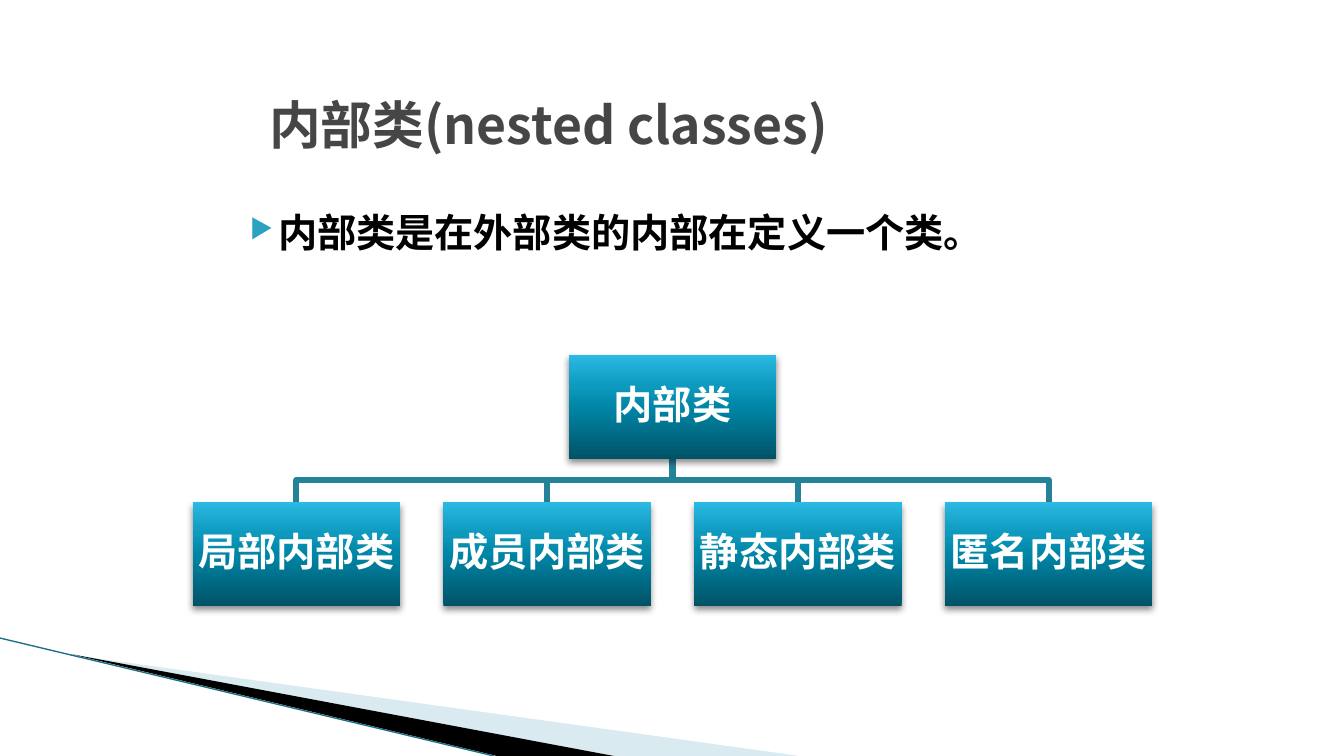
from lxml import etree
from pptx import Presentation
from pptx.dml.color import RGBColor
from pptx.enum.lang import MSO_LANGUAGE_ID
from pptx.enum.shapes import MSO_CONNECTOR, MSO_SHAPE
from pptx.enum.text import MSO_ANCHOR, PP_ALIGN
from pptx.oxml import parse_xml
from pptx.oxml.ns import qn
from pptx.util import Inches, Pt

STRAIGHT = MSO_CONNECTOR.STRAIGHT
RECTANGLE = MSO_SHAPE.RECTANGLE
MIDDLE = MSO_ANCHOR.MIDDLE
CENTER = PP_ALIGN.CENTER
CHINESE = MSO_LANGUAGE_ID.SIMPLIFIED_CHINESE
NAMESPACE = 'xmlns:a="http://schemas.openxmlformats.org/drawingml/2006/main"'
COLORS = {
    "title": "464646", "text": "000000", "white": "FFFFFF", "bullet": "2DA2BF",
    "pale": "A0CBDC", "black": "000000", "edge": "1A6F82", "branch": "248299",
}
BOX_GRADIENT = [(0, "005367"), (50, "0086A7"), (70, "0E9ABE"), (100, "2CB9E3")]
BOX_WIDTH, BOX_HEIGHT = 2.06, 1.03
ROOT_TOP, CHILD_TOP = 3.52, 4.98
CHILD_LEFT, CHILD_STEP = 1.91, 2.487
CHILDREN = ["局部内部类", "成员内部类", "静态内部类", "匿名内部类"]


def add_text(paragraph, text, size, font, color):
    run = paragraph.add_run()
    run.text = text
    run.font.size = Pt(size)
    run.font.bold = True
    run.font.name = font
    run.font.language_id = CHINESE
    run.font.color.rgb = RGBColor.from_string(COLORS[color])
    east_asian = etree.SubElement(run.font._element, qn("a:ea"))
    east_asian.set("typeface", font)


def add_outline(points, close):
    corners = [(Inches(x), Inches(y)) for x, y in points]
    builder = slide.shapes.build_freeform(*corners[0])
    builder.add_line_segments(corners[1:], close=close)
    shape = builder.convert_to_shape()
    shape.shadow.inherit = False
    return shape


presentation = Presentation()
presentation.slide_width = Inches(13.33)
presentation.slide_height = Inches(7.5)
slide = presentation.slides.add_slide(presentation.slide_layouts[6])

wedges = [
    ("pale", [(0.73, 6.5), (7.93, 7.5), (6.08, 7.5)]),
    ("black", [(0.71, 6.49), (6.09, 7.5), (4.93, 7.5)]),
]
for color, points in wedges:
    wedge = add_outline(points, True)
    wedge.fill.solid()
    wedge.fill.fore_color.rgb = RGBColor.from_string(COLORS[color])
    wedge.line.fill.background()
    if color == "pale":
        fill_color = wedge._element.spPr.find(qn("a:solidFill"))[0]
        etree.SubElement(fill_color, qn("a:alpha")).set("val", "40000")

edge = slide.shapes.add_connector(STRAIGHT, 0, Inches(6.33), Inches(4.9), Inches(7.5))
edge.line.color.rgb = RGBColor.from_string(COLORS["edge"])
edge.line.width = Pt(0.95)
etree.SubElement(edge._element.spPr, qn("a:effectLst"))

title = slide.shapes.add_textbox(Inches(2.57), Inches(0.91), Inches(8.5), Inches(0.63))
title.text_frame.word_wrap = True
title.text_frame.vertical_anchor = MIDDLE
add_text(title.text_frame.paragraphs[0], "内部类(nested classes)", 36.9, "Noto Sans CJK SC", "title")

body = slide.shapes.add_textbox(Inches(2.26), Inches(2.02), Inches(8.9), Inches(4.65))
body.text_frame.word_wrap = True
paragraph = body.text_frame.paragraphs[0]
paragraph.space_before = Pt(4)
add_text(paragraph, "内部类是在外部类的内部在定义一个类。", 28, "Noto Sans Mono", "text")
properties = paragraph._p.get_or_add_pPr()
properties.set("marL", str(Inches(0.4)))
properties.set("indent", str(Inches(-0.28)))
bullet_color = etree.SubElement(properties, qn("a:buClr"))
etree.SubElement(bullet_color, qn("a:srgbClr")).set("val", COLORS["bullet"])
etree.SubElement(properties, qn("a:buSzPct")).set("val", "68000")
etree.SubElement(properties, qn("a:buChar")).set("char", "▶")

child_lefts = [CHILD_LEFT + CHILD_STEP * index for index in range(len(CHILDREN))]
root_left = (child_lefts[0] + child_lefts[-1]) / 2
root_center = root_left + BOX_WIDTH / 2
root_bottom = ROOT_TOP + BOX_HEIGHT
branch_y = (root_bottom + CHILD_TOP) / 2

for left in child_lefts:
    center = left + BOX_WIDTH / 2
    branch = add_outline(
        [(root_center, root_bottom), (root_center, branch_y), (center, branch_y), (center, CHILD_TOP)],
        False,
    )
    branch.fill.background()
    branch.line.color.rgb = RGBColor.from_string(COLORS["branch"])
    branch.line.width = Pt(4.33)

boxes = [("内部类", root_left, ROOT_TOP)]
boxes += [(name, left, CHILD_TOP) for name, left in zip(CHILDREN, child_lefts)]
stops = "".join(
    f'<a:gs pos="{position * 1000}"><a:srgbClr val="{color}"/></a:gs>'
    for position, color in BOX_GRADIENT
)
for name, left, top in boxes:
    box = slide.shapes.add_shape(
        RECTANGLE, Inches(left), Inches(top), Inches(BOX_WIDTH), Inches(BOX_HEIGHT)
    )
    box.shadow.inherit = False
    box.line.fill.background()
    shape_properties = box._element.spPr
    shape_properties.find(qn("a:prstGeom")).addnext(parse_xml(
        f'<a:gradFill {NAMESPACE} rotWithShape="1"><a:gsLst>{stops}</a:gsLst>'
        '<a:lin ang="16200000" scaled="0"/></a:gradFill>'
    ))
    shape_properties.find(qn("a:effectLst")).append(parse_xml(
        f'<a:outerShdw {NAMESPACE} blurRad="{Pt(5)}" dist="{Pt(3)}" dir="5400000" rotWithShape="0">'
        '<a:srgbClr val="000000"><a:alpha val="45000"/></a:srgbClr></a:outerShdw>'
    ))
    frame = box.text_frame
    frame.word_wrap = True
    frame.vertical_anchor = MIDDLE
    frame.margin_left = frame.margin_right = Inches(0.02)
    frame.margin_top = frame.margin_bottom = Inches(0.02)
    paragraph = frame.paragraphs[0]
    paragraph.alignment = CENTER
    paragraph.line_spacing = 0.9
    add_text(paragraph, name, 28, "Noto Sans Mono", "white")

presentation.save("out.pptx")
